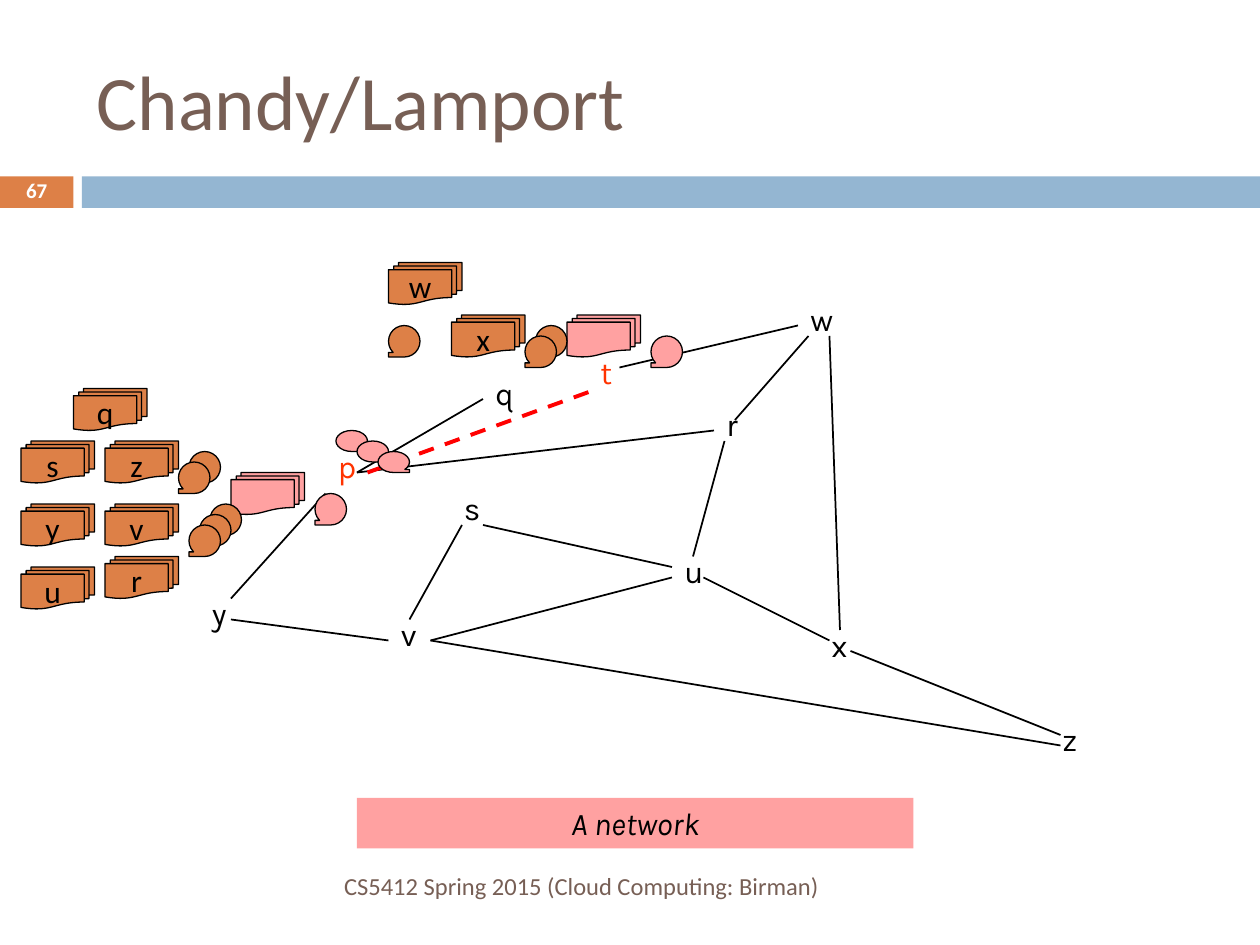
import pptx
import pptx.util
import pptx.dml.color
import pptx.enum.dml
import pptx.enum.shapes
import pptx.enum.text
import pptx.oxml.ns
import lxml.etree

SHAPE = pptx.enum.shapes.MSO_SHAPE
ALIGN = pptx.enum.text.PP_ALIGN
ANCHOR = pptx.enum.text.MSO_ANCHOR
BLACK, BROWN, ORANGE, BLUE = "000000", "775F55", "DD8047", "94B6D2"
PINK, MARKED, RED, WHITE = "FFA1A1", "FF3300", "FF0000", "FFFFFF"

NODES = {
    "p": (31, 42), "q": (46, 35), "r": (68, 38), "s": (43, 46),
    "t": (56, 33), "u": (64, 52), "v": (37, 58), "w": (76, 28),
    "x": (78, 59), "y": (19, 56), "z": (100, 68),
}
EDGES = [
    (31, 47, 22, 57), (22, 59, 37, 61), (44, 50, 39, 59), (34, 45, 68, 41),
    (34, 45, 46, 38), (70, 40, 77, 32), (69, 42, 66, 53), (41, 61, 101, 71),
    (41, 61, 64, 55), (59, 35, 76, 31), (79, 32, 80, 60), (67, 55, 79, 61),
    (46, 50, 64, 54), (81, 62, 101, 70),
]
PINK_DOCUMENTS = [(22, 45), (54, 30)]
PINK_MESSAGES = [(32, 41), (34, 42), (36, 43)]
PINK_TAPES = [(30, 47), (62, 32)]
STATES = {
    "q": (7, 37), "v": (10, 48), "w": (37, 25), "z": (10, 42), "x": (43, 30),
    "u": (2, 54), "s": (2, 42), "y": (2, 48), "r": (10, 53),
}
TAPES = [(20, 48), (19, 49), (18, 50), (37, 31), (18, 43), (17, 44), (51, 31), (50, 32)]


def color(value):
    """Turn a hex string into a colour."""
    return pptx.dml.color.RGBColor.from_string(value)


class Sketch:
    """Draws styled elements on a slide ruled into 120 columns and 90 rows."""

    columns, rows = 120, 90

    def __init__(self, deck):
        """Add a title-only slide to the deck."""
        self.width, self.height = deck.slide_width, deck.slide_height
        self.slide = deck.slides.add_slide(deck.slide_layouts[5])
        self.shapes = self.slide.shapes

    def place(self, column, row):
        """Convert grid units to slide lengths."""
        return round(column * self.width / self.columns), round(row * self.height / self.rows)

    def set_text(self, shape, text, size, font="Calibri", ink=BLACK, align=ALIGN.LEFT,
                 anchor=ANCHOR.MIDDLE, wrap=True, bold=False, italic=False):
        """Put one styled paragraph into a shape."""
        frame = shape.text_frame
        frame.text = text
        frame.word_wrap = wrap
        frame.auto_size = pptx.enum.text.MSO_AUTO_SIZE.NONE
        frame.vertical_anchor = anchor
        para = frame.paragraphs[0]
        para.alignment = align
        style = para.runs[0].font
        style.name, style.size = font, pptx.util.Pt(size)
        style.bold, style.italic = bold, italic
        style.color.rgb = color(ink)
        return para

    def title(self, text, column, row, wide, tall):
        """Place and format the title placeholder."""
        box = self.shapes.title
        box.left, box.top = self.place(column, row)
        box.width, box.height = self.place(wide, tall)
        self.set_text(box, text, 44, ink=BROWN)

    def label(self, text, column, row, wide, tall, size, **style):
        """Add a text box."""
        box = self.shapes.add_textbox(*self.place(column, row), *self.place(wide, tall))
        return self.set_text(box, text, size, **style)

    def shape(self, kind, column, row, wide, tall, fill, outlined=True):
        """Add a filled preset shape."""
        shape = self.shapes.add_shape(kind, *self.place(column, row), *self.place(wide, tall))
        shape.shadow.inherit = False
        shape.fill.solid()
        shape.fill.fore_color.rgb = color(fill)
        if outlined:
            shape.line.color.rgb = color(BLACK)
            shape.line.width = pptx.util.Pt(0.75)
        else:
            shape.line.fill.background()
        return shape

    def edge(self, column, row, end_column, end_row, ink=BLACK, weight=1, dashed=False):
        """Add a straight connector."""
        edge = self.shapes.add_connector(
            pptx.enum.shapes.MSO_CONNECTOR.STRAIGHT,
            *self.place(column, row), *self.place(end_column, end_row))
        edge.line.color.rgb = color(ink)
        edge.line.width = pptx.util.Pt(weight)
        if dashed:
            edge.line.dash_style = pptx.enum.dml.MSO_LINE.DASH
        lxml.etree.SubElement(edge._element.spPr, pptx.oxml.ns.qn("a:effectLst"))

    def document(self, column, row, fill, text=""):
        """Add a stack of documents, with a letter if given."""
        stack = self.shape(SHAPE.FLOWCHART_MULTIDOCUMENT, column, row, 7, 4, fill)
        if text:
            self.set_text(stack, text, 18, align=ALIGN.CENTER, wrap=False)

    def tape(self, column, row, fill):
        """Add a round tape whose tail points left."""
        tape = self.shape(SHAPE.FLOWCHART_SEQUENTIAL_ACCESS_STORAGE, column, row, 3, 3, fill)
        tape._element.spPr.xfrm.set("flipH", "1")

    def message(self, column, row):
        """Add a flat pink message in transit."""
        self.shape(SHAPE.FLOWCHART_SEQUENTIAL_ACCESS_STORAGE, column, row, 3, 2, PINK)


def main():
    """Build the slide and save the deck."""
    deck = pptx.Presentation()
    deck.slide_width, deck.slide_height = pptx.util.Inches(10), pptx.util.Inches(7.5)
    sketch = Sketch(deck)

    sketch.shape(SHAPE.RECTANGLE, 0, 16.8, 7, 3, ORANGE, outlined=False)
    sketch.shape(SHAPE.RECTANGLE, 7.8, 16.8, 112.2, 3, BLUE, outlined=False)
    sketch.title("Chandy/Lamport", 8, 3, 107, 13)

    for name, (column, row) in NODES.items():
        sketch.label(name, column, row, 5, 4.8, 18, font="Karla", anchor=ANCHOR.TOP,
                     ink=MARKED if name in "pt" else BLACK)
    for ends in EDGES:
        sketch.edge(*ends)
    sketch.edge(35, 45, 57, 37, ink=RED, weight=2.25, dashed=True)

    caption = sketch.shape(SHAPE.RECTANGLE, 34, 76, 53, 4.8, PINK, outlined=False)
    sketch.set_text(caption, "A network", 18, font="Karla", align=ALIGN.CENTER,
                    anchor=ANCHOR.TOP, italic=True)

    for spot in PINK_DOCUMENTS:
        sketch.document(*spot, PINK)
    for spot in PINK_MESSAGES:
        sketch.message(*spot)
    for spot in PINK_TAPES:
        sketch.tape(*spot, PINK)
    for name, spot in STATES.items():
        sketch.document(*spot, ORANGE, name)
    for spot in TAPES:
        sketch.tape(*spot, ORANGE)

    sketch.label("CS5412 Spring 2015 (Cloud Computing: Birman)", 8, 82, 71.2, 4.8, 14,
                 ink=BROWN, align=ALIGN.RIGHT)
    number = sketch.label("67", 0, 16.7, 7, 3.2, 12, ink=WHITE, align=ALIGN.CENTER, bold=True)
    number.line_spacing = 0.8
    deck.save("out.pptx")


if __name__ == "__main__":
    main()
